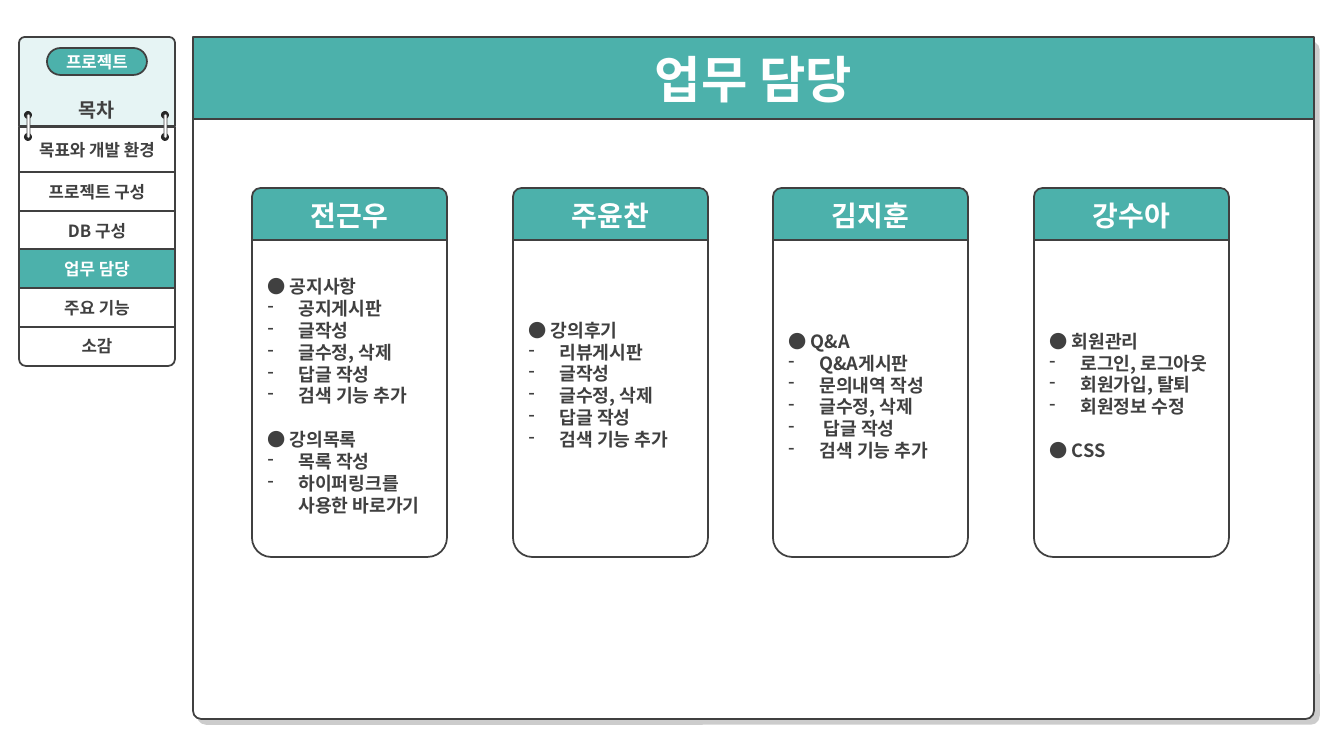
from lxml import etree
from pptx import Presentation, util as u
from pptx.dml.color import RGBColor
from pptx.enum import shapes, text
from pptx.oxml import parse_xml
from pptx.oxml.ns import nsdecls, qn

TITLE = "업무 담당"
BADGE, CONTENTS = "프로젝트", "목차"
FIRST_ROW = "목표와 개발 환경"
MENU = ["프로젝트 구성", "DB 구성", "업무 담당", "주요 기능", "소감"]
# Each member has groups of (heading, tasks)
MEMBERS = [
    ("전근우", [("공지사항", ["공지게시판", "글작성", "글수정, 삭제", "답글 작성", "검색 기능 추가"]),
             ("강의목록", ["목록 작성", "하이퍼링크를 사용한 바로가기"])]),
    ("주윤찬", [("강의후기", ["리뷰게시판", "글작성", "글수정, 삭제", "답글 작성", "검색 기능 추가"])]),
    ("김지훈", [("Q&A", ["Q&A게시판", "문의내역 작성", "글수정, 삭제", " 답글 작성", "검색 기능 추가"])]),
    ("강수아", [("회원관리", ["로그인, 로그아웃", "회원가입, 탈퇴", "회원정보 수정"]),
             ("CSS", [])]),
]
RAISED = "주윤찬"  # this member's list sits half a line above centre

FONT = "Noto Sans CJK KR"
TEAL, PALE, WHITE, INK, DOT = "4CB1AB", "E6F4F4", "FFFFFF", "404040", "262626"
ROUND = shapes.MSO_SHAPE.ROUNDED_RECTANGLE
TOP_ROUND = shapes.MSO_SHAPE.ROUND_2_SAME_RECTANGLE
OVAL = shapes.MSO_SHAPE.OVAL

MENU_LEFT, MENU_WIDTH, MENU_TOP, MENU_PITCH = 19, 156, 172, 38.7
PANEL_LEFT, PANEL_TOP, PANEL_WIDTH, PANEL_HEIGHT = 193, 37, 1121, 682
CARD_LEFT, CARD_TOP, CARD_WIDTH, CARD_PITCH = 252, 188, 195, 260.6
NAME_HEIGHT, LIST_HEIGHT, TASK_INDENT, LINE = 52, 317, 31, 22


def px(length):
    return u.Emu(round(length * 914400 / 100.8))


def colour(value):
    return RGBColor.from_string(value)


def paint(shape, fill, line=INK, weight=1.25):
    shape.fill.solid()
    shape.fill.fore_color.rgb = colour(fill)
    if line:
        shape.line.color.rgb = colour(line)
        shape.line.width = u.Pt(weight)
    else:
        shape.line.fill.background()


def add_box(kind, place, fill, corners=(), line=INK, weight=1.25):
    shape = page.shapes.add_shape(kind, *map(px, place))
    shape.shadow.inherit = False
    paint(shape, fill, line, weight)
    for index, corner in enumerate(corners):
        shape.adjustments[index] = corner
    return shape


def style(para, size, ink, align=text.PP_ALIGN.CENTER):
    para.alignment = align
    for span in para.runs:
        font = span.font
        font.name, font.size, font.bold = FONT, u.Pt(size), True
        font.color.rgb = colour(ink)
        etree.SubElement(font._element, qn("a:ea")).set("typeface", FONT)


def write(shape, words, size, ink=INK, anchor=text.MSO_ANCHOR.MIDDLE):
    frame = shape.text_frame
    frame.text = words
    frame.word_wrap = True
    frame.vertical_anchor = anchor
    style(frame.paragraphs[0], size, ink)
    return frame


def add_tasks(shape, groups):
    frame = shape.text_frame
    frame.word_wrap = True
    frame.vertical_anchor = text.MSO_ANCHOR.MIDDLE
    lines = [(group, index, words) for group, (heading, tasks) in enumerate(groups)
             for index, words in enumerate(["● " + heading] + tasks)]
    for number, (group, index, words) in enumerate(lines):
        para = frame.add_paragraph() if number else frame.paragraphs[0]
        para.text = words
        style(para, 13, INK, text.PP_ALIGN.LEFT)
        if index:
            props = para._p.get_or_add_pPr()
            props.set("marL", str(px(TASK_INDENT)))
            props.set("indent", str(-px(TASK_INDENT)))
            etree.SubElement(props, qn("a:buChar")).set("char", "-")
        elif group:
            para.space_before = px(LINE)


def add_panel():
    panel = add_box(ROUND, (PANEL_LEFT, PANEL_TOP, PANEL_WIDTH, PANEL_HEIGHT), WHITE, [0.012])
    effects = panel._element.spPr.find(qn("a:effectLst"))
    effects.append(parse_xml(
        f'<a:outerShdw {nsdecls("a")} blurRad="0" dist="{u.Pt(5)}" dir="2700000" algn="tl" '
        'rotWithShape="0"><a:srgbClr val="000000"><a:alpha val="20000"/></a:srgbClr></a:outerShdw>'))


def add_title():
    title = page.shapes.title
    title.left, title.top, title.width, title.height = map(px, (PANEL_LEFT, PANEL_TOP, PANEL_WIDTH, 82))
    title._element.spPr.append(parse_xml(
        f'<a:prstGeom {nsdecls("a")} prst="round2SameRect"><a:avLst/></a:prstGeom>'))
    paint(title, TEAL)
    write(title, TITLE, 36, WHITE).auto_size = text.MSO_AUTO_SIZE.NONE
    page.shapes._spTree.append(title._element)  # bring in front of the panel


def add_menu():
    heading = add_box(TOP_ROUND, (MENU_LEFT, 37, MENU_WIDTH, 89), PALE, [0.064, 0])
    frame = write(heading, CONTENTS, 14, anchor=text.MSO_ANCHOR.BOTTOM)
    frame.paragraphs[0].line_spacing = 3.0
    write(add_box(TOP_ROUND, (MENU_LEFT, 127, MENU_WIDTH, 45), WHITE, [0, 0]), FIRST_ROW, 12)
    for index, words in enumerate(MENU):
        active = words == TITLE
        foot = 0.179 if index == len(MENU) - 1 else 0
        place = (MENU_LEFT, MENU_TOP + round(index * MENU_PITCH), MENU_WIDTH, 39)
        row = add_box(TOP_ROUND, place, TEAL if active else WHITE, [0, foot])
        write(row, words, 12, WHITE if active else INK)
    for left in (24, 161):
        for top in (111, 133):
            add_box(OVAL, (left, top, 8, 8), DOT, line=None)
        add_box(ROUND, (left + 3, 114, 3, 24), WHITE, [0.5], weight=0.5)
    badge = add_box(ROUND, (47, 48, 100, 27), TEAL, [0.5])
    write(badge, BADGE, 12, WHITE).word_wrap = False


def add_cards():
    for index, (name, groups) in enumerate(MEMBERS):
        left = CARD_LEFT + round(index * CARD_PITCH)
        header = add_box(TOP_ROUND, (left, CARD_TOP, CARD_WIDTH, NAME_HEIGHT), TEAL)
        write(header, name, 20, WHITE)
        place = (left, CARD_TOP + NAME_HEIGHT, CARD_WIDTH, LIST_HEIGHT)
        card = add_box(TOP_ROUND, place, WHITE, [0, 0.099])
        add_tasks(card, groups)
        if name == RAISED:
            card.text_frame.margin_bottom = px(5 + LINE)


deck = Presentation()
deck.slide_width, deck.slide_height = px(1344), px(756)
page = deck.slides.add_slide(deck.slide_layouts[5])
add_panel()
add_menu()
add_title()
add_cards()
deck.save("out.pptx")
